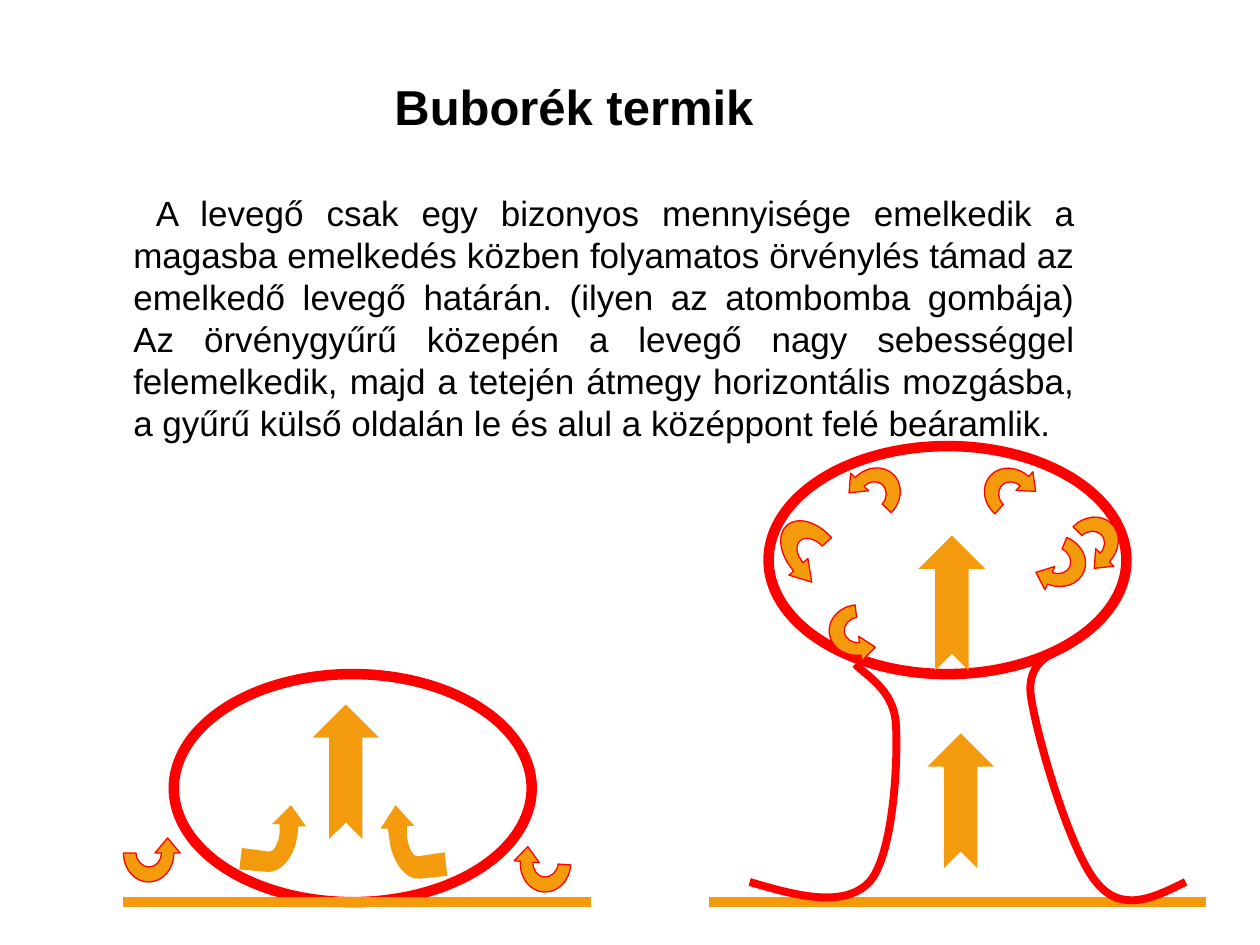
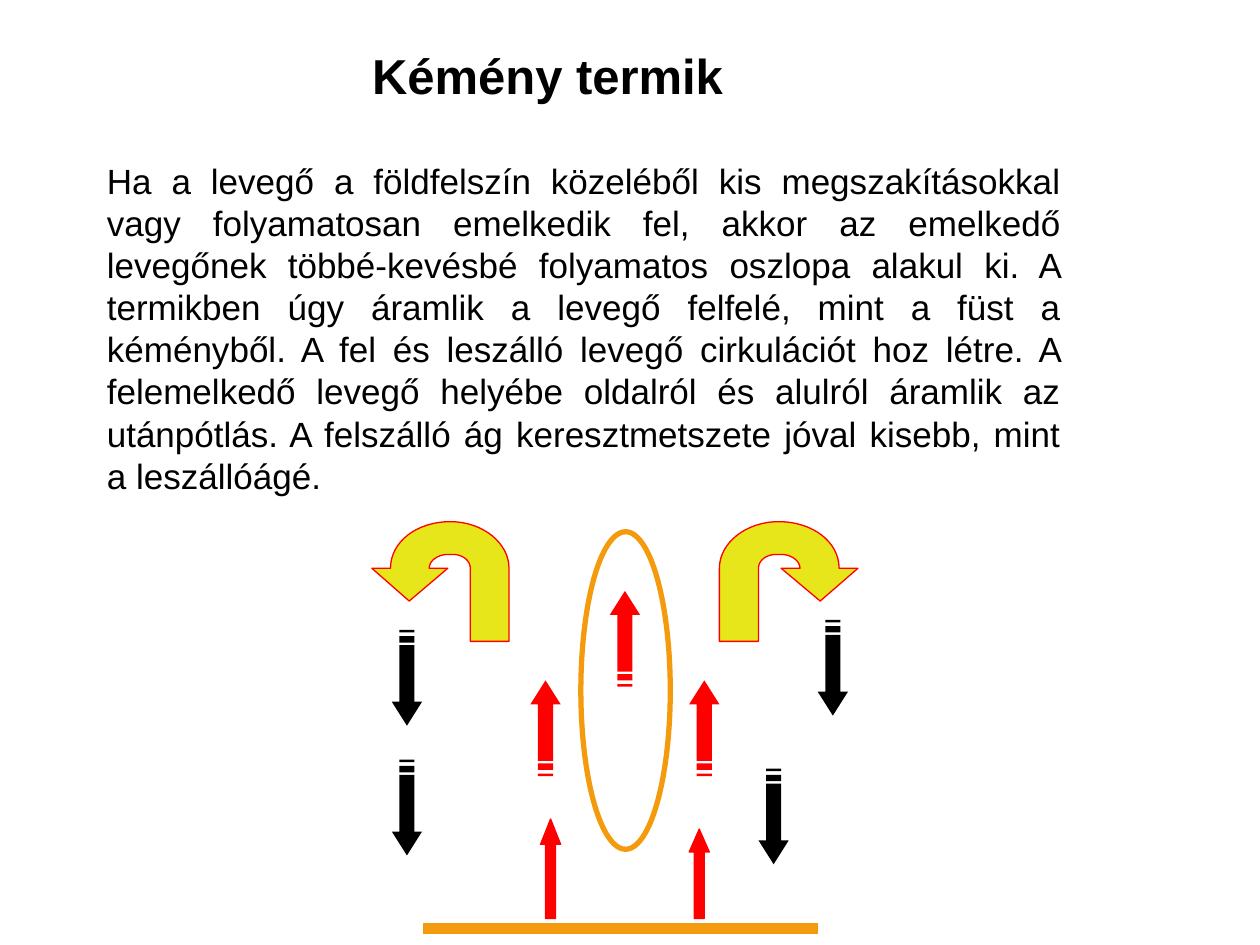
from math import cos, radians, sin

from pptx import Presentation
from pptx.dml.color import RGBColor
from pptx.enum.shapes import MSO_CONNECTOR, MSO_SHAPE
from pptx.enum.text import MSO_ANCHOR, MSO_AUTO_SIZE, PP_ALIGN
from pptx.oxml.ns import qn
from pptx.util import Inches, Pt

ELLIPSE, UP_ARROW = MSO_SHAPE.OVAL, MSO_SHAPE.UP_ARROW
NOTCHED_ARROW = MSO_SHAPE.NOTCHED_RIGHT_ARROW
STRAIGHT = MSO_CONNECTOR.STRAIGHT
TOP, NO_AUTOFIT = MSO_ANCHOR.TOP, MSO_AUTO_SIZE.NONE
CENTER, JUSTIFY = PP_ALIGN.CENTER, PP_ALIGN.JUSTIFY

COLORS = {"text": "000000", "orange": "F39B0D", "red": "FF0000", "yellow": "E6E61A"}
FONT = "Arial"

# Outlines are lists of contours; two numbers are a corner, six a Bezier curve
CURL = [[(-0.1, 0), (-0.1, -0.06, -0.06, -0.11, 0, -0.11),
         (0.05, -0.11, 0.1, -0.06, 0.1, 0), (0.2, 0),
         (0.2, -0.13, 0.11, -0.23, 0, -0.23),
         (-0.11, -0.23, -0.2, -0.13, -0.2, 0),
         (-0.25, 0), (-0.15, 0.12), (-0.05, 0)]]
BEND = [[(0.41, 0), (0.53, 0.17), (0.47, 0.17), (0.46, 0.24),
         (0.44, 0.41, 0.33, 0.54, 0.22, 0.53), (0, 0.51), (0.02, 0.34),
         (0.24, 0.37), (0.27, 0.37, 0.31, 0.31, 0.32, 0.22),
         (0.32, 0.15), (0.26, 0.15)]]
U_TURN = [[(0.8, 0.63), (1.1, 0.37), (0.95, 0.37),
           (0.95, 0.16, 0.74, 0, 0.47, 0), (0.21, 0, 0, 0.17, 0, 0.37),
           (0, 0.95), (0.31, 0.95), (0.31, 0.37),
           (0.31, 0.31, 0.37, 0.26, 0.45, 0.26), (0.49, 0.26),
           (0.57, 0.26, 0.64, 0.31, 0.64, 0.37), (0.49, 0.37)]]
STRIPED_ARROW = [[(-0.12, 0.19), (-0.06, 0.19), (-0.06, 0.64), (0.06, 0.64),
                  (0.06, 0.19), (0.12, 0.19), (0, 0)]]
STRIPED_ARROW += [[(-0.06, top), (0.06, top), (0.06, bottom), (-0.06, bottom)]
                  for top, bottom in [(0.66, 0.71), (0.74, 0.76)]]
LEFT_TRAIL = [[(5.95, 7), (6.32, 7.11, 6.7, 7.21, 6.9, 7),
               (7.09, 6.79, 7.13, 6.03, 7.11, 5.74),
               (7.09, 5.46, 6.85, 5.35, 6.79, 5.27)]]
RIGHT_TRAIL = [[(9.41, 7), (9.15, 7.13, 8.9, 7.25, 8.7, 7),
                (8.49, 6.75, 8.22, 5.82, 8.18, 5.51),
                (8.15, 5.19, 8.44, 5.18, 8.49, 5.11)]]


def write_text(box, text, *, at, size, bold=False, align=CENTER, pitch=None, indent=0):
    """Place a text box or placeholder and fill it with one paragraph."""
    box.left, box.top, box.width, box.height = (Inches(n) for n in at)
    frame = box.text_frame
    frame.word_wrap, frame.auto_size = True, NO_AUTOFIT
    frame.vertical_anchor = TOP
    frame.margin_left = frame.margin_right = Inches(0.1)
    frame.margin_top = frame.margin_bottom = Inches(0.05)
    para = frame.paragraphs[0]
    para.alignment = align
    para.space_before = Pt(0)
    if pitch:
        para.line_spacing = Pt(pitch)
    if indent:
        para._p.get_or_add_pPr().set("indent", str(Inches(indent)))
    span = para.add_run()
    span.text = text
    span.font.name, span.font.size, span.font.bold = FONT, Pt(size), bold
    span.font.color.rgb = RGBColor.from_string(COLORS["text"])


def draw(page, form, *, at=(0, 0), scale=(1, 1), turn=0, adjust=(),
         fill=None, line=None, width=0.75, closed=True):
    """Draw a preset shape in the box `at`, or an outline with its origin at `at`."""
    if isinstance(form, list):
        builder = None
        for contour in form:
            points = [(Inches(at[0] + step[n] * scale[0]), Inches(at[1] + step[n + 1] * scale[1]))
                      for step in contour for n in range(0, len(step), 2)]
            if builder is None:
                builder = page.shapes.build_freeform(*points[0], scale=1.0)
            else:
                builder.move_to(*points[0])
            builder.add_line_segments(points[1:], close=closed)
        shape = builder.convert_to_shape()
        # Join the three points of each curve into one Bezier segment
        segments = iter(list(shape._element.iter(qn("a:lnTo"))))
        for step in (step for contour in form for step in contour[1:]):
            segment = next(segments)
            if len(step) == 6:
                segment.tag = qn("a:cubicBezTo")
                for extra in (next(segments), next(segments)):
                    segment.append(extra[0])
                    extra.getparent().remove(extra)
        # Turn around the origin of the outline
        cosine, sine = cos(radians(turn)), sin(radians(turn))
        x = shape.left + shape.width / 2 - Inches(at[0])
        y = shape.top + shape.height / 2 - Inches(at[1])
        shape.left += round(x * cosine - y * sine - x)
        shape.top += round(x * sine + y * cosine - y)
    else:
        shape = page.shapes.add_shape(form, *(Inches(n) for n in at))
        for index, value in enumerate(adjust):
            shape.adjustments[index] = value
    shape.rotation = turn
    shape.shadow.inherit = False
    if fill:
        shape.fill.solid()
        shape.fill.fore_color.rgb = RGBColor.from_string(COLORS[fill])
    else:
        shape.fill.background()
    if line:
        shape.line.color.rgb = RGBColor.from_string(COLORS[line])
        shape.line.width = Pt(width)
    else:
        shape.line.fill.background()


deck = Presentation()
deck.slide_width, deck.slide_height = Inches(10), Inches(7.5)

# What differs between the slides: texts, ellipses and ground lines
slides = [
    dict(title="Buborék termik", title_at=(0.54, 0.56, 8.03, 0.6),
         body="A levegő csak egy bizonyos mennyisége emelkedik a magasba emelkedés "
              "közben folyamatos örvénylés támad az emelkedő levegő határán. (ilyen az "
              "atombomba gombája) Az örvénygyűrű közepén a levegő nagy sebességgel "
              "felemelkedik, majd a tetején átmegy horizontális mozgásba, a gyűrű külső "
              "oldalán le és alul a középpont felé beáramlik.",
         body_at=(0.96, 1.47, 7.67, 2.2), indent=0.18,
         ellipses=[(1.38, 5.35, 2.84, 1.81), (6.1, 3.54, 2.84, 1.81)],
         ellipse_line=("red", 6), grounds=[(0.98, 4.69, 7.16), (5.63, 9.57, 7.16)]),
    dict(title="Kémény termik", title_at=(0.27, 0.31, 8.15, 0.6),
         body="Ha a levegő a földfelszín közeléből kis megszakításokkal vagy "
              "folyamatosan emelkedik fel, akkor az emelkedő levegőnek többé-kevésbé "
              "folyamatos oszlopa alakul ki. A termikben úgy áramlik a levegő felfelé, "
              "mint a füst a kéményből. A fel és leszálló levegő cirkulációt hoz létre. "
              "A felemelkedő levegő helyébe oldalról és alulról áramlik az utánpótlás. "
              "A felszálló ág keresztmetszete jóval kisebb, mint a leszállóágé.",
         body_at=(0.75, 1.22, 7.77, 2.8), indent=0,
         ellipses=[(4.61, 4.22, 0.71, 2.52)],
         ellipse_line=("orange", 3), grounds=[(3.36, 6.49, 7.37)]),
]

pages = []
for content in slides:
    page = deck.slides.add_slide(deck.slide_layouts[5])
    pages.append(page)
    write_text(page.shapes.title, content["title"], at=content["title_at"], size=28, bold=True)
    body = page.shapes.add_textbox(0, 0, 0, 0)
    write_text(body, content["body"], at=content["body_at"], size=20, align=JUSTIFY,
               pitch=24, indent=content["indent"])
    color, width = content["ellipse_line"]
    for ellipse in content["ellipses"]:
        draw(page, ELLIPSE, at=ellipse, line=color, width=width)
    for start, end, level in content["grounds"]:
        ground = page.shapes.add_connector(
            STRAIGHT, Inches(start), Inches(level), Inches(end), Inches(level))
        ground.line.color.rgb = RGBColor.from_string(COLORS["orange"])
        ground.line.width = Pt(6)
        properties = ground._element.spPr
        properties.append(properties.makeelement(qn("a:effectLst"), {}))

bubble, chimney = pages

# Bubble thermal: air trails under the risen bubble
for trail in (LEFT_TRAIL, RIGHT_TRAIL):
    draw(bubble, trail, line="red", width=4.5, closed=False)

# Bubble thermal: curled arrows as centre x, centre y, turn, mirror, stretch
for x, y, turn, mirror, stretch in [
    (1.18, 6.77, 180, 1, 1), (4.33, 6.85, 184.2, -1, 1),
    (8.39, 4.45, 112.6, -1, 1), (8.66, 4.32, 44, -1, 1),
    (8.03, 3.93, 312.2, -1, 1), (6.93, 3.93, 44.2, 1, 1),
    (6.45, 4.4, 318.7, 1, 1.34), (6.81, 5, 263.5, 1, 1),
]:
    draw(bubble, CURL, at=(x, y), scale=(mirror, stretch), turn=turn,
         fill="orange", line="red")

# Bubble thermal: inflow and rising air
for x, scale in [(1.9, (1, 1)), (3.55, (-1, 1.1))]:
    draw(bubble, BEND, at=(x, 6.39), scale=scale, fill="orange")
for left, top in [(2.21, 5.86), (7.09, 6.09), (7.02, 4.52)]:
    draw(bubble, NOTCHED_ARROW, at=(left, top, 1.07, 0.53), turn=270,
         adjust=(0.5, 0.5), fill="orange")

# Chimney thermal: rising air near the ground
for left, top, height, head in [(5.47, 6.58, 0.71, 1.14), (4.29, 6.5, 0.79, 1.26)]:
    draw(chimney, UP_ARROW, at=(left, top, 0.16, height), adjust=(0.5, head),
         fill="red", line="red")

# Chimney thermal: air turning over at the top
for x, stretch in [(5.71, 1), (4.04, -0.99)]:
    draw(chimney, U_TURN, at=(x, 4.14), scale=(stretch, 1), fill="yellow", line="red")

# Chimney thermal: striped arrows by their tips, rising and sinking
for color, direction, tips in [
    ("red", 1, [(4.33, 5.4), (5.59, 5.4), (4.96, 4.69)]),
    ("text", -1, [(6.61, 5.68), (3.23, 5.76), (3.23, 6.79), (6.14, 6.86)]),
]:
    for tip in tips:
        draw(chimney, STRIPED_ARROW, at=tip, scale=(1, direction), fill=color)

deck.save("out.pptx")
